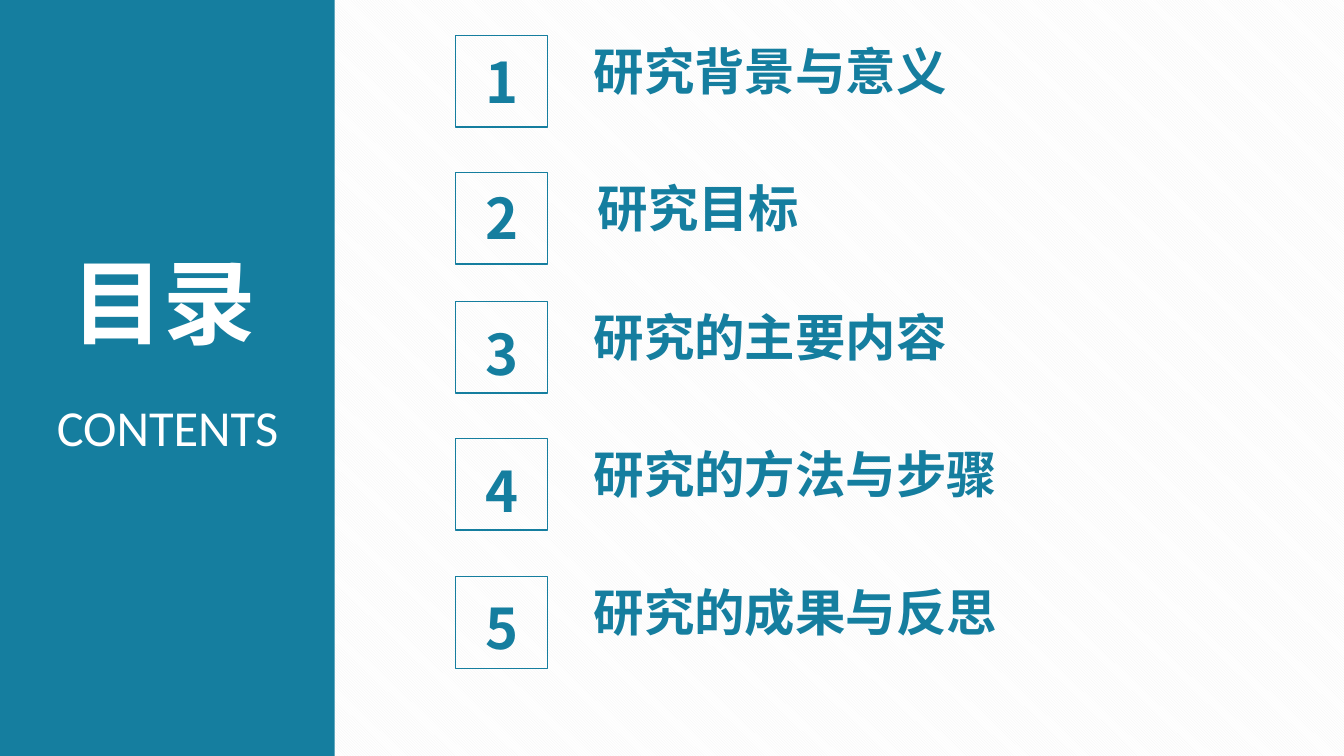
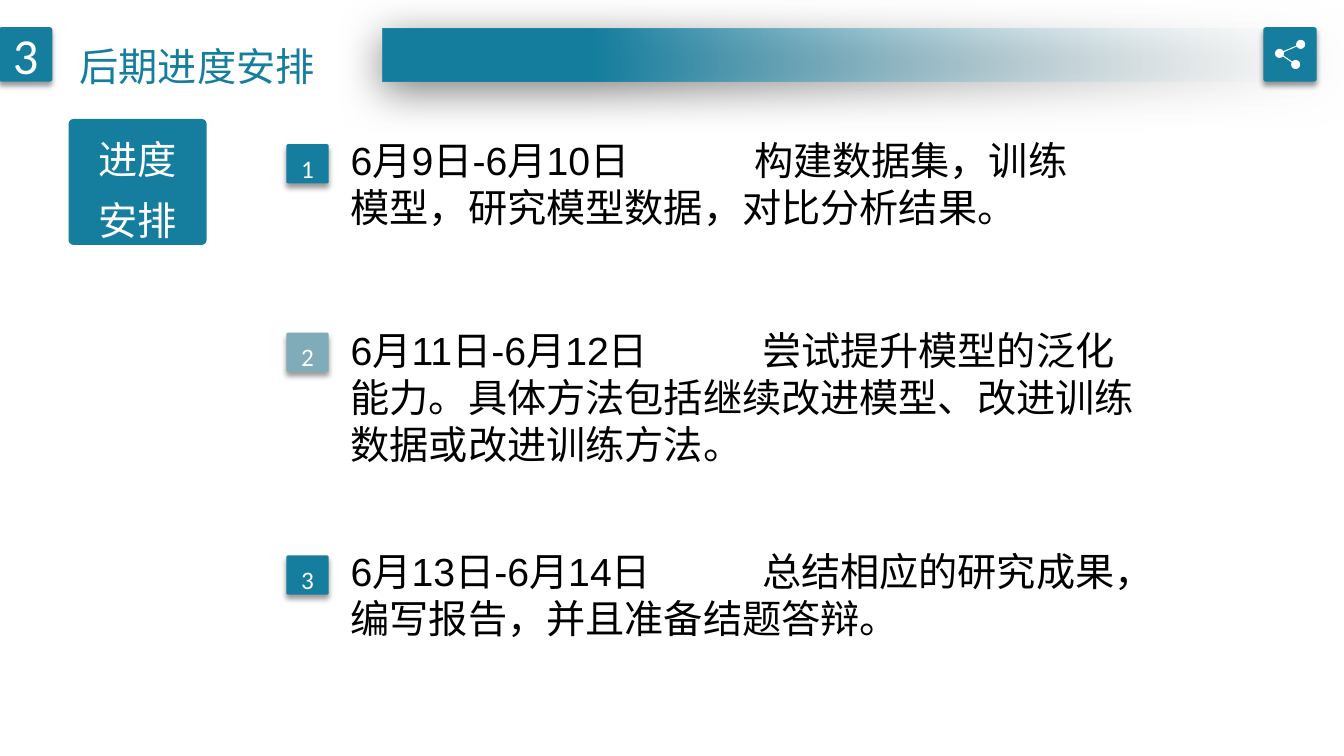
from dataclasses import dataclass
from lxml.etree import SubElement
from pptx import Presentation
from pptx.dml.color import RGBColor
from pptx.enum.dml import MSO_PATTERN
from pptx.enum.shapes import MSO_CONNECTOR, MSO_SHAPE
from pptx.enum.text import MSO_ANCHOR, MSO_AUTO_SIZE, PP_ALIGN
from pptx.oxml.ns import qn
from pptx.util import Inches, Pt


@dataclass(frozen=True)
class Theme:
    teal: str = "157E9F"
    muted: str = "80ABB8"
    pale: str = "F7FAFD"
    stripe: str = "F2F2F2"
    white: str = "FFFFFF"
    black: str = "000000"
    cjk: str = "Noto Sans CJK SC"
    latin: str = "Calibri"
    body: str = "Arial"
    cover: int = 66
    number: int = 40
    heading: int = 36
    text: int = 28
    badge: int = 18


T = Theme()
W, H = 13.33, 7.5

# Content: label, row top, label left, drop of the number inside its square
CONTENTS = [
    ("研究背景与意义", 0.35, 5.79, 0.07),
    ("研究目标", 1.71, 5.83, 0.06),
    ("研究的主要内容", 2.99, 5.79, 0.13),
    ("研究的方法与步骤", 4.35, 5.79, 0.13),
    ("研究的成果与反思", 5.72, 5.79, 0.12),
]
# Dates, task, text top, text width, tab stop, badge top, badge colour
SCHEDULE = [
    ("6月9日-6月10日", "构建数据集，训练模型，研究模型数据，对比分析结果。",
     1.3, 7.58, 4, 1.43, T.teal),
    ("6月11日-6月12日", "尝试提升模型的泛化能力。具体方法包括继续改进模型、"
     "改进训练数据或改进训练方法。", 3.19, 8.07, 4.08, 3.3, T.muted),
    ("6月13日-6月14日", "总结相应的研究成果，编写报告，并且准备结题答辩。",
     5.38, 8.07, 4.08, 5.51, T.teal),
]
SHARE_DOTS = [(12.69, 0.53), (12.9, 0.44), (12.85, 0.64)]
SOFT_SHADOW = (40, 4, 3, 90)  # opacity %, blur pt, distance pt, direction
BAR_SHADOW = (50, 31, 6, 97)


def rgb(color):
    return RGBColor.from_string(color)


def inches(*lengths):
    return [Inches(n) for n in lengths]


def write(shape, text, size, color, font=T.cjk, bold=False,
          align=PP_ALIGN.LEFT, anchor=MSO_ANCHOR.TOP, spacing=1, wrap=True):
    tf = shape.text_frame
    tf.text = text
    tf.word_wrap, tf.vertical_anchor = wrap, anchor
    tf.auto_size = MSO_AUTO_SIZE.NONE
    p = tf.paragraphs[0]
    p.alignment, p.line_spacing = align, spacing
    f = p.runs[0].font
    f.size, f.bold, f.name = Pt(size), bold, font
    f.color.rgb = rgb(color)
    SubElement(p.runs[0]._r.get_or_add_rPr(), qn("a:ea"), typeface=T.cjk)
    return p


def add_text(s, at, *args, **style):
    return write(s.shapes.add_textbox(*inches(*at)), *args, **style)


def add_title(s, at, *args, **style):
    title = s.shapes.title
    title.left, title.top, title.width, title.height = inches(*at)
    write(title, *args, **style)


def add_box(s, at, fill=None, line=None, kind=MSO_SHAPE.RECTANGLE,
            radius=None, shadow=None):
    sp = s.shapes.add_shape(kind, *inches(*at))
    sp.shadow.inherit = False
    if radius:
        sp.adjustments[0] = radius
    if fill:
        sp.fill.solid()
        sp.fill.fore_color.rgb = rgb(fill)
    else:
        sp.fill.background()
    if line:
        sp.line.color.rgb = rgb(line)
        sp.line.width = Pt(1)
    else:
        sp.line.fill.background()
    if shadow:
        alpha, blur, dist, angle = shadow
        effects = sp._element.spPr.find(qn("a:effectLst"))
        outer = SubElement(effects, qn("a:outerShdw"), blurRad=str(Pt(blur)),
                           dist=str(Pt(dist)), dir=str(angle * 60000),
                           algn="ctr", rotWithShape="0")
        clr = SubElement(outer, qn("a:srgbClr"), val=T.black)
        SubElement(clr, qn("a:alpha"), val=str(alpha * 1000))
    return sp


def add_tile(s, at, fill=T.teal, text=None, size=T.badge, spacing=1):
    sp = add_box(s, at, fill, kind=MSO_SHAPE.ROUNDED_RECTANGLE, radius=0.05,
                 shadow=SOFT_SHADOW)
    if text:
        write(sp, text, size, T.white, T.latin, align=PP_ALIGN.CENTER,
              anchor=MSO_ANCHOR.MIDDLE, spacing=spacing)


def add_share_icon(s):
    add_tile(s, (12.53, 0.27, 0.53, 0.54))
    hub, dot = SHARE_DOTS[0], 0.09
    for end in SHARE_DOTS[1:]:
        link = s.shapes.add_connector(MSO_CONNECTOR.STRAIGHT,
                                      *inches(*hub, *end))
        link.line.color.rgb = rgb(T.white)
        link.line.width = Pt(0.75)
        SubElement(link._element.spPr, qn("a:effectLst"))
    for x, y in SHARE_DOTS:
        add_box(s, (x - dot / 2, y - dot / 2, dot, dot), T.white,
                kind=MSO_SHAPE.OVAL)


def add_fading_bar(s):
    bar = add_box(s, (3.8, 0.28, W - 3.8, 0.53), T.teal, shadow=BAR_SHADOW)
    bar.fill.gradient()
    bar.fill.gradient_angle = 180
    for stop, (pos, color) in zip(bar.fill.gradient_stops,
                                  [(0, T.pale), (0.78, T.teal)]):
        stop.position, stop.color.rgb = pos, rgb(color)
    grad = bar._element.spPr.find(qn("a:gradFill"))
    SubElement(next(grad.iter(qn("a:srgbClr"))), qn("a:alpha"), val="0")


def contents_slide(s):
    # Striped background and side panel
    fill = s.background.fill
    fill.patterned()
    fill.pattern = MSO_PATTERN.DARK_DOWNWARD_DIAGONAL
    fill.fore_color.rgb, fill.back_color.rgb = rgb(T.stripe), rgb(T.white)
    panel = add_box(s, (0, 0, 3.32, H), T.teal)
    s.shapes._spTree.insert(2, panel._element)  # behind the title
    add_title(s, (0.61, 2.38, 2.1, 1.21), "目录", T.cover, T.white, bold=True)
    add_text(s, (0.46, 3.75, 2.4, 1.04), "CONTENTS", T.heading, T.white,
             T.latin, align=PP_ALIGN.RIGHT, anchor=MSO_ANCHOR.MIDDLE,
             spacing=0.9)
    # Numbered chapters
    for n, (label, top, left, drop) in enumerate(CONTENTS, 1):
        square = add_box(s, (4.52, top, 0.91, 0.91), line=T.teal)
        write(square, str(n), T.number, T.teal, bold=True,
              align=PP_ALIGN.CENTER)
        square.text_frame.margin_top = Inches(drop + 0.05)
        square.text_frame.margin_bottom = 0
        add_text(s, (left, top, 5.2, 0.71), label, T.heading, T.teal,
                 bold=True)


def schedule_slide(s):
    # Header
    add_tile(s, (-0.01, 0.27, 0.53, 0.54), text="3", size=T.heading)
    add_title(s, (0.69, 0.14, 2.56, 0.72), "后期进度安排", T.text, T.teal,
              spacing=1.5, wrap=False)
    add_fading_bar(s)
    add_share_icon(s)
    # Section label
    label = add_box(s, (0.68, 1.18, 1.37, 1.25), T.teal,
                    kind=MSO_SHAPE.ROUNDED_RECTANGLE, radius=0.04)
    write(label, "进度安排", T.text, T.white, align=PP_ALIGN.CENTER,
          anchor=MSO_ANCHOR.MIDDLE, spacing=1.3)
    # Dated tasks
    for n, (dates, task, top, width, tab, badge_top, color) in enumerate(
            SCHEDULE, 1):
        add_tile(s, (2.84, badge_top, 0.42, 0.39), color, str(n), spacing=1.3)
        p = add_text(s, (3.38, top, width, 1.04), f"{dates}\t{task}", T.text,
                     T.black, T.body)
        tabs = SubElement(p._p.get_or_add_pPr(), qn("a:tabLst"))
        SubElement(tabs, qn("a:tab"), pos=str(Inches(tab)), algn="l")


def main():
    prs = Presentation()
    prs.slide_width, prs.slide_height = inches(W, H)
    title_only = prs.slide_layouts[5]
    for build in (contents_slide, schedule_slide):
        build(prs.slides.add_slide(title_only))
    prs.save("out.pptx")


if __name__ == "__main__":
    main()
